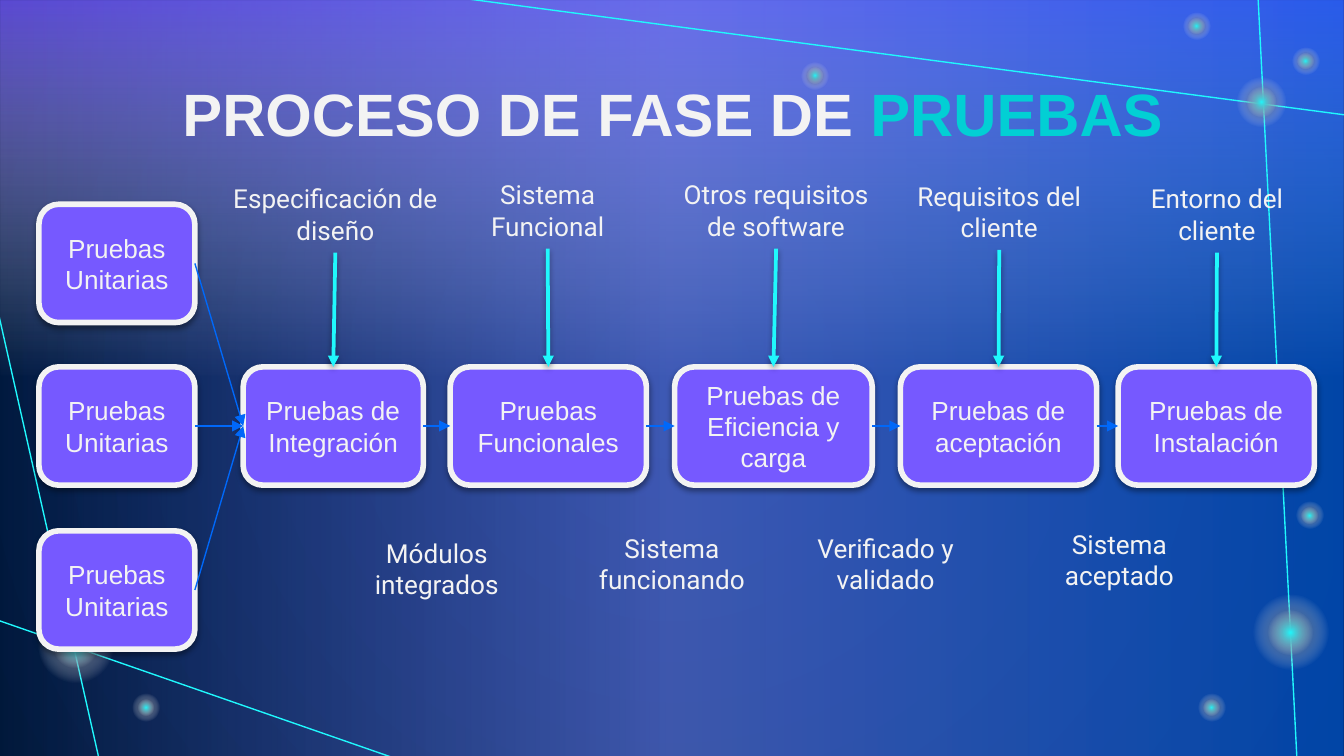
from lxml import etree
from pptx import Presentation
from pptx.dml.color import RGBColor
from pptx.enum.shapes import MSO_CONNECTOR, MSO_SHAPE
from pptx.enum.text import MSO_ANCHOR, MSO_AUTO_SIZE, PP_ALIGN
from pptx.oxml import parse_xml
from pptx.oxml.ns import nsdecls, qn
from pptx.util import Inches, Pt

STRAIGHT = MSO_CONNECTOR.STRAIGHT
RECTANGLE, OVAL, ROUNDED = MSO_SHAPE.RECTANGLE, MSO_SHAPE.OVAL, MSO_SHAPE.ROUNDED_RECTANGLE
TOP, MIDDLE, CENTER = MSO_ANCHOR.TOP, MSO_ANCHOR.MIDDLE, PP_ALIGN.CENTER
TOP_SITE, LEFT_SITE, BOTTOM_SITE, RIGHT_SITE = range(4)

THEME = {
    "light": "F3F3F3", "accent": "02CFD4", "box": "7659FF", "flow": "0068F9",
    "neon": "20F8FD", "night": "00183A",
    "heading": "Arial", "label": "Roboto", "title_size": 32, "text_size": 14,
}
WIDTH = 10
HEIGHT = WIDTH * 9 / 16

# Gradient stops: position %, colour, opacity %
BACKGROUND = [(0, "012060", 100), (100, THEME["night"], 100)]
VEILS = [
    ([(0, "748BFF", 0), (50, THEME["light"], 0), (100, "7659FF", 77)], 270),
    ([(0, "748BFF", 0), (50, "748BFF", 53), (100, "006AFF", 54)], 0),
]
RAYS = [
    (2.96, 5.65, -0.03, 4.61), (0.74, 5.66, -0.01, 2.34),
    (9.65, 5.65, 9.36, -0.03), (10.12, 0.87, 3.24, -0.04),
]
STARS = [  # left, top, diameter
    (0.17, 4.41, 0.79), (0.94, 5.12, 0.29), (8.76, 0.05, 0.29),
    (9.57, 0.31, 0.29), (5.92, 0.42, 0.29), (8.87, 5.12, 0.29),
    (9.6, 3.69, 0.29), (9.21, 4.31, 0.79), (9.13, 0.5, 0.52),
]

TITLE = [("PROCESO DE FASE DE ", THEME["light"]), ("PRUEBAS", THEME["accent"])]
UNIT_TEST = "Pruebas Unitarias"
UNIT_TOPS = [1.52, 2.73, 3.95]
UNIT_LEFT, UNIT_WIDTH = 0.29, 1.16
STAGE_TOP, BOX_HEIGHT = 2.73, 0.88
STAGES = [  # text, left, width
    ("Pruebas de Integración", 1.81, 1.34),
    ("Pruebas Funcionales", 3.35, 1.46),
    ("Pruebas de Eficiencia y carga", 5.02, 1.47),
    ("Pruebas de aceptación", 6.7, 1.46),
    ("Pruebas de Instalación", 8.32, 1.46),
]
INPUT_WIDTH, OUTPUT_WIDTH, LABEL_HEIGHT = 1.75, 1.46, 0.57
INPUTS = [  # text, left, top
    ("Especificación de diseño", 1.62, 1.31),
    ("Sistema Funcional", 3.2, 1.28),
    ("Otros requisitos de software", 4.9, 1.28),
    ("Requisitos del cliente", 6.56, 1.29),
    ("Entorno del cliente", 8.18, 1.31),
]
OUTPUTS = [
    ("Módulos integrados", 2.52, 3.95),
    ("Sistema funcionando", 4.27, 3.91),
    ("Verificado y validado", 5.86, 3.91),
    ("Sistema aceptado", 7.6, 3.88),
]


def inches(*lengths):
    return [Inches(length) for length in lengths]


def color(name):
    return RGBColor.from_string(THEME.get(name, name))


def set_gradient(fill, element, stops, angle=None):
    """Fill with the stops: linear at an angle, or radial when there is none."""
    fill.gradient()
    old = next(element.iter(qn("a:gradFill")))
    marks = "".join(
        f'<a:gs pos="{position * 1000}"><a:srgbClr val="{tone}">'
        f'<a:alpha val="{opacity * 1000}"/></a:srgbClr></a:gs>'
        for position, tone, opacity in stops)
    if angle is None:
        shade = ('<a:path path="circle"><a:fillToRect l="50000" t="50000" '
                 'r="50000" b="50000"/></a:path>')
    else:
        shade = f'<a:lin ang="{angle * 60000}" scaled="0"/>'
    new = parse_xml(f'<a:gradFill {nsdecls("a")} rotWithShape="1">'
                    f'<a:gsLst>{marks}</a:gsLst>{shade}</a:gradFill>')
    old.getparent().replace(old, new)


def set_effects(shape, shadow):
    """Give the shape a soft drop shadow, or no effect at all."""
    properties = shape._element.spPr
    for old in properties.findall(qn("a:effectLst")):
        properties.remove(old)
    effects = etree.SubElement(properties, qn("a:effectLst"))
    if shadow:
        effects.append(parse_xml(
            f'<a:outerShdw {nsdecls("a")} blurRad="40000" dist="20000" dir="5400000" '
            'rotWithShape="0"><a:srgbClr val="000000"><a:alpha val="38000"/>'
            '</a:srgbClr></a:outerShdw>'))


def add_span(para, text, font, size, tone, bold=False):
    span = para.add_run()
    span.text = text
    span.font.name, span.font.size, span.font.bold = font, Pt(size), bold
    span.font.color.rgb = color(tone)


def write(shape, text, font):
    shape.text_frame.word_wrap = True
    para = shape.text_frame.paragraphs[0]
    para.alignment = CENTER
    add_span(para, text, font, THEME["text_size"], "light")


def add_veil(slide, kind, place, stops, angle=None):
    veil = slide.shapes.add_shape(kind, *inches(*place))
    veil.shadow.inherit = False
    veil.line.fill.background()
    set_gradient(veil.fill, veil._element, stops, angle)


def add_line(slide, ends, tone, width, shadow=False):
    line = slide.shapes.add_connector(STRAIGHT, *inches(*ends))
    line.line.color.rgb = color(tone)
    line.line.width = Pt(width)
    set_effects(line, shadow)
    return line


def add_arrow(slide, start, start_site, end, end_site, tone, width, shadow=False):
    arrow = add_line(slide, (0, 0, 1, 1), tone, width, shadow)
    arrow.begin_connect(start, start_site)
    arrow.end_connect(end, end_site)
    etree.SubElement(arrow.line._get_or_add_ln(), qn("a:tailEnd"), type="triangle")


def add_box(slide, text, left, top, width):
    box = slide.shapes.add_shape(ROUNDED, *inches(left, top, width, BOX_HEIGHT))
    box.fill.solid()
    box.fill.fore_color.rgb = color("box")
    box.line.color.rgb = color("light")
    box.line.width = Pt(3)
    set_effects(box, shadow=True)
    box.text_frame.vertical_anchor = MIDDLE
    write(box, text, THEME["heading"])
    return box


def add_label(slide, text, left, top, width):
    label = slide.shapes.add_textbox(*inches(left, top, width, LABEL_HEIGHT))
    label.text_frame.auto_size = MSO_AUTO_SIZE.SHAPE_TO_FIT_TEXT
    write(label, text, THEME["label"])
    return label


def add_backdrop(slide):
    set_gradient(slide.background.fill, slide._element, BACKGROUND)
    for stops, angle in VEILS:
        add_veil(slide, RECTANGLE, (0, 0, WIDTH, HEIGHT), stops, angle)
    for ray in RAYS:
        add_line(slide, ray, "neon", 0.75)
    clear = [(50, THEME["light"], 0), (100, THEME["light"], 0)]
    for left, top, size in STARS:
        for tone, scale in (("night", 1), ("neon", 0.6)):
            inset = size * (1 - scale) / 2
            place = (left + inset, top + inset, size * scale, size * scale)
            add_veil(slide, OVAL, place, [(0, THEME[tone], 100)] + clear)


def place_title(slide):
    title = slide.shapes.title
    slide.shapes._spTree.append(title._element)  # in front of the backdrop
    title.left, title.top, title.width, title.height = inches(0.79, 0.47, 8.43, 0.69)
    frame = title.text_frame
    frame.auto_size, frame.vertical_anchor = MSO_AUTO_SIZE.NONE, TOP
    frame.margin_top = frame.margin_bottom = Inches(0.1)
    para = frame.paragraphs[0]
    para.alignment = CENTER
    for text, tone in TITLE:
        add_span(para, text, THEME["heading"], THEME["title_size"], tone, bold=True)


def main():
    deck = Presentation()
    deck.slide_width, deck.slide_height = inches(WIDTH, HEIGHT)
    slide = deck.slides.add_slide(deck.slide_layouts[5])
    add_backdrop(slide)
    place_title(slide)

    units = [add_box(slide, UNIT_TEST, UNIT_LEFT, top, UNIT_WIDTH) for top in UNIT_TOPS]
    stages = [add_box(slide, text, left, STAGE_TOP, width) for text, left, width in STAGES]
    flow = [(unit, stages[0]) for unit in units] + list(zip(stages, stages[1:]))
    for start, end in flow:
        add_arrow(slide, start, RIGHT_SITE, end, LEFT_SITE, "flow", 0.75)

    inputs = [add_label(slide, *entry, INPUT_WIDTH) for entry in INPUTS]
    for label, stage in zip(inputs, stages):
        add_arrow(slide, label, BOTTOM_SITE, stage, TOP_SITE, "neon", 2, shadow=True)
    for entry in OUTPUTS:
        add_label(slide, *entry, OUTPUT_WIDTH)
    deck.save("out.pptx")


if __name__ == "__main__":
    main()
